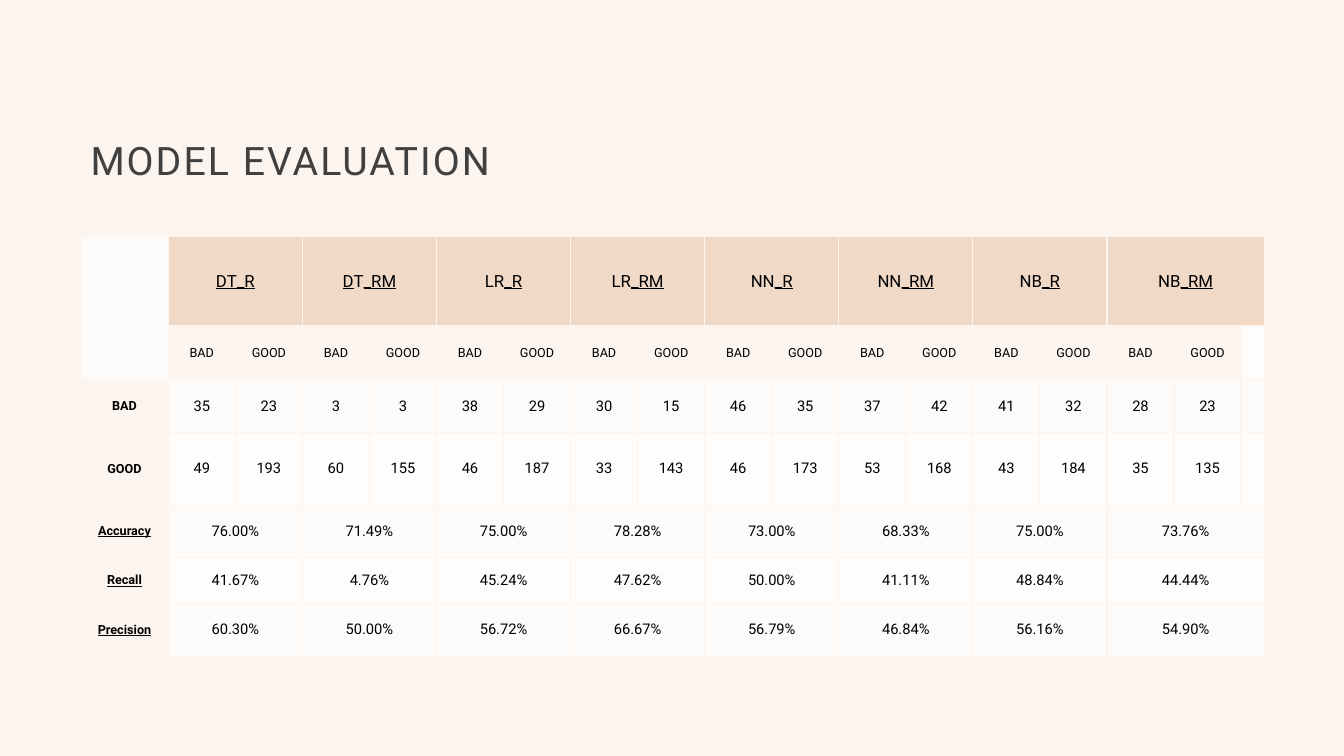
from dataclasses import dataclass

from lxml import etree
from pptx import Presentation
from pptx import util as u
from pptx.dml.color import RGBColor
from pptx.enum import text
from pptx.oxml.ns import qn


@dataclass(frozen=True)
class Theme:
    font: str = "Roboto"
    back: str = "FBF4EF"
    head: str = "F1D9C8"
    bands: tuple = ("FDFBF9", "FEFDFC")
    ink: str = "000000"
    dark: str = "404040"
    title: float = 28
    model: float = 12
    label: float = 9
    value: float = 10.5


THEME = Theme()
WIDE, HIGH = 13.33, 7.5
SIDE, PAIR, TAIL = 0.87, 1.33, 0.23
ROWS = (0.89, 0.53, 0.53, 0.71, 0.53, 0.45, 0.53)

MODELS = [
    [("DT_R", True)],
    [("D", True), ("T", False), ("_RM", True)],
] + [
    [(name, False), (end, True)]
    for name in ("LR", "NN", "NB") for end in ("_R", "_RM")
]
CLASSES = ("BAD", "GOOD")
COUNTS = [
    (35, 23, 3, 3, 38, 29, 30, 15, 46, 35, 37, 42, 41, 32, 28, 23),
    (49, 193, 60, 155, 46, 187, 33, 143, 46, 173, 53, 168, 43, 184, 35, 135),
]
SCORES = {
    "Accuracy": (76.00, 71.49, 75.00, 78.28, 73.00, 68.33, 75.00, 73.76),
    "Recall": (41.67, 4.76, 45.24, 47.62, 50.00, 41.11, 48.84, 44.44),
    "Precision": (60.30, 50.00, 56.72, 66.67, 56.79, 46.84, 56.16, 54.90),
}


def add_run(para, words, size, color=THEME.ink, bold=False, under=False):
    run = para.add_run()
    run.text = words
    font = run.font
    font.name, font.size = THEME.font, u.Pt(size)
    font.bold, font.underline = bold, under
    font.color.rgb = RGBColor.from_string(color)
    return run


def paint(cell, color):
    cell.fill.solid()
    cell.fill.fore_color.rgb = RGBColor.from_string(color)


def edge(cell):
    props = cell._tc.get_or_add_tcPr()
    for side in "LRTB":
        line = etree.SubElement(props, qn(f"a:ln{side}"), w=str(u.Pt(1)))
        fill = etree.SubElement(line, qn("a:solidFill"))
        etree.SubElement(fill, qn("a:srgbClr"), val=THEME.back)


def write(cell, runs, size, bold=False):
    para = cell.text_frame.paragraphs[0]
    para.alignment = text.PP_ALIGN.CENTER
    for words, under in runs:
        add_run(para, words, size, bold=bold, under=under)


def add_title(slide, box):
    frame = slide.shapes.add_textbox(*map(u.Inches, box)).text_frame
    frame.word_wrap = True
    frame.vertical_anchor = text.MSO_ANCHOR.MIDDLE
    para = frame.paragraphs[0]
    para.line_spacing = 0.9
    run = add_run(para, "MODEL EVALUATION", THEME.title, THEME.dark)
    run._r.get_or_add_rPr().set("spc", "150")


def add_grid(slide, box):
    cols = [SIDE] + [PAIR / 2] * (2 * len(MODELS)) + [TAIL]
    shape = slide.shapes.add_table(len(ROWS), len(cols), *map(u.Inches, box))
    grid = shape.table
    grid.first_row = grid.horz_banding = False
    for col, width in zip(grid.columns, cols):
        col.width = u.Inches(width)
    for row, height in zip(grid.rows, ROWS):
        row.height = u.Inches(height)
    for r in range(len(ROWS)):
        for c in range(len(cols)):
            cell = grid.cell(r, c)
            cell.margin_left = cell.margin_right = u.Inches(0.07)
            cell.margin_top = cell.margin_bottom = 0
            cell.vertical_anchor = text.MSO_ANCHOR.MIDDLE
            edge(cell)
            paint(cell, THEME.bands[r % 2])
    return grid


def fill_pairs(grid, row, items, size, color=None):
    for i, runs in enumerate(items):
        left = 1 + 2 * i
        right = left + 1 + (i == len(items) - 1)
        cell = grid.cell(row, left)
        cell.merge(grid.cell(row, right))
        write(cell, runs, size)
        if color:
            paint(cell, color)


def add_label(grid, row, words, under):
    cell = grid.cell(row, 0)
    write(cell, [(words, under)], THEME.label, bold=True)
    paint(cell, THEME.back)


def add_scores(slide, box):
    grid = add_grid(slide, box)
    grid.cell(0, 0).merge(grid.cell(1, 0))
    fill_pairs(grid, 0, MODELS, THEME.model, THEME.head)
    for c in range(2 * len(MODELS)):
        cell = grid.cell(1, c + 1)
        write(cell, [(CLASSES[c % 2], False)], THEME.label)
        paint(cell, THEME.back)
    for row, (name, counts) in enumerate(zip(CLASSES, COUNTS), 2):
        add_label(grid, row, name, False)
        for c, count in enumerate(counts, 1):
            write(grid.cell(row, c), [(str(count), False)], THEME.value)
    for row, (name, marks) in enumerate(SCORES.items(), 4):
        add_label(grid, row, name, True)
        items = [[(f"{mark:.2f}%", False)] for mark in marks]
        fill_pairs(grid, row, items, THEME.value)


def main():
    deck = Presentation()
    deck.slide_width, deck.slide_height = u.Inches(WIDE), u.Inches(HIGH)
    slide = deck.slides.add_slide(deck.slide_layouts[6])
    back = slide.background.fill
    back.solid()
    back.fore_color.rgb = RGBColor.from_string(THEME.back)
    left = 0.06 * WIDE
    add_title(slide, (left, 0.12 * HIGH, 0.69 * WIDE, 0.19 * HIGH))
    wide = SIDE + PAIR * len(MODELS) + TAIL
    add_scores(slide, (left, 0.31 * HIGH + 0.02, wide, sum(ROWS)))
    deck.save("out.pptx")


if __name__ == "__main__":
    main()
